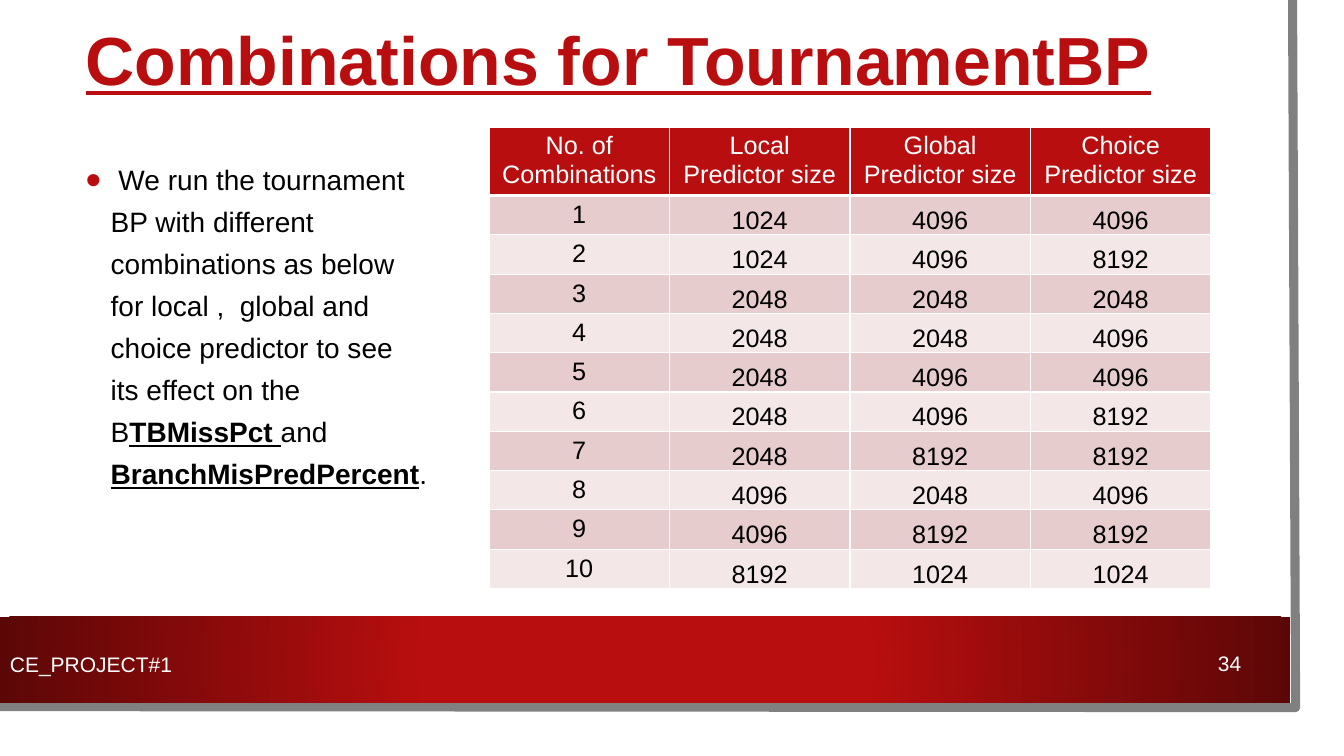
from dataclasses import dataclass

from lxml import etree
from pptx import Presentation
from pptx.dml.color import RGBColor
from pptx.enum.shapes import MSO_SHAPE
from pptx.enum.text import MSO_ANCHOR, MSO_AUTO_SIZE, PP_ALIGN
from pptx.oxml import parse_xml
from pptx.oxml.ns import nsdecls, qn
from pptx.util import Inches, Pt

RECT = MSO_SHAPE.RECTANGLE
MIDDLE, BOTTOM, TOP = MSO_ANCHOR.MIDDLE, MSO_ANCHOR.BOTTOM, MSO_ANCHOR.TOP
LEFT, CENTER = PP_ALIGN.LEFT, PP_ALIGN.CENTER
FIXED = MSO_AUTO_SIZE.NONE

RED = RGBColor(0xB8, 0x0E, 0x0F)
MAROON = RGBColor(0x5C, 0x07, 0x07)
GREY = RGBColor(0x80, 0x80, 0x80)
WHITE = RGBColor(0xFF, 0xFF, 0xFF)
BLACK = RGBColor(0, 0, 0)
ROSE = RGBColor(0xE6, 0xCC, 0xCC)
BLUSH = RGBColor(0xF3, 0xE7, 0xE7)
FONT = "Arial"

HEADS = ["No. of Combinations", "Local Predictor size",
         "Global Predictor size", "Choice Predictor size"]
SIZES = [
    (1024, 4096, 4096),
    (1024, 4096, 8192),
    (2048, 2048, 2048),
    (2048, 2048, 4096),
    (2048, 4096, 4096),
    (2048, 4096, 8192),
    (2048, 8192, 8192),
    (4096, 2048, 4096),
    (4096, 8192, 8192),
    (8192, 1024, 1024),
]


@dataclass
class Box:
    left: float
    top: float
    width: float
    height: float

    def place(self) -> tuple:
        return tuple(Inches(v) for v in (self.left, self.top, self.width, self.height))


@dataclass
class Label:
    text: str
    box: Box
    align: PP_ALIGN


@dataclass
class Span:
    text: str
    bold: bool = False
    line: bool = False


LABELS = [
    Label("34", Box(11.56, 6.38, 1.27, 0.4), CENTER),
    Label("CE_PROJECT#1", Box(0, 6.31, 6.01, 0.55), LEFT),
]
SPANS = [
    Span(" We run the tournament BP with different combinations as below "
         "for local ,  global and choice predictor to see its effect on the B"),
    Span("TBMissPct", True, True),
    Span(" ", False, True),
    Span("and "),
    Span("BranchMisPredPercent", True, True),
    Span("."),
]


def write(frame, text: str, *, size: float, color: RGBColor, bold: bool = False,
          line: bool = False, align: PP_ALIGN = LEFT, anchor: MSO_ANCHOR = MIDDLE):
    frame.word_wrap = True
    frame.vertical_anchor = anchor
    para = frame.paragraphs[0]
    para.alignment = align
    run = para.add_run()
    run.text = text
    font = run.font
    font.name, font.size, font.bold, font.underline = FONT, Pt(size), bold, line
    font.color.rgb = color
    return para


def add_rect(slide, box: Box):
    shape = slide.shapes.add_shape(RECT, *box.place())
    shape.shadow.inherit = False
    shape.line.fill.background()
    return shape


def add_frame(slide) -> None:
    paper = add_rect(slide, Box(0, 0, 13.1, 7.27))
    paper.fill.solid()
    paper.fill.fore_color.rgb = WHITE

    pen = slide.shapes.build_freeform(Inches(12.82), 0)
    pen.add_line_segments([(Inches(12.85), Inches(7.02)),
                           (Inches(-0.03), Inches(7.01))], close=False)
    edge = pen.convert_to_shape()
    edge.shadow.inherit = False
    edge.fill.background()
    edge.line.color.rgb = GREY
    edge.line.width = Pt(6.5)

    band = add_rect(slide, Box(0, 6.12, 12.8, 0.85))
    band.fill.gradient()
    for stop, color, spot in zip(band.fill.gradient_stops, (RED, MAROON), (0.34, 1)):
        stop.color.rgb = color
        stop.position = spot
    grad = band.element.spPr.find(qn("a:gradFill"))
    grad.replace(grad.find(qn("a:lin")), parse_xml(
        f'<a:path {nsdecls("a")} path="circle">'
        '<a:fillToRect l="50000" t="50000" r="50000" b="50000"/></a:path>'))


def add_title(slide) -> None:
    title = slide.shapes.title
    title.element.getparent().append(title.element)
    title.left, title.top, title.width, title.height = Box(0.75, 0, 11.37, 1.26).place()
    title.text_frame.auto_size = FIXED
    para = write(title.text_frame, "Combinations for TournamentBP",
                 size=48.6, color=RED, bold=True, line=True)
    para.line_spacing = 0.9


def add_body(slide) -> None:
    frame = slide.shapes.add_textbox(*Box(0.75, 1.5, 3.6, 3.7).place()).text_frame
    frame.margin_top, frame.margin_bottom = 0, Inches(0.3)
    for span in SPANS:
        para = write(frame, span.text, size=20, color=BLACK,
                     bold=span.bold, line=span.line)
    para.line_spacing = 1.25
    para.space_before = Pt(10)
    props = para._p.get_or_add_pPr()
    props.set("marL", str(Inches(0.25)))
    props.set("indent", str(-Inches(0.25)))
    color = etree.SubElement(props, qn("a:buClr"))
    etree.SubElement(color, qn("a:srgbClr")).set("val", str(RED))
    etree.SubElement(props, qn("a:buSzPct")).set("val", "160000")
    etree.SubElement(props, qn("a:buFont")).set("typeface", FONT)
    etree.SubElement(props, qn("a:buChar")).set("char", "•")


def add_edges(cell, base: float) -> None:
    props = cell._tc.get_or_add_tcPr()
    widths = {"lnL": 1, "lnR": 1, "lnT": 1, "lnB": base}
    for spot, (side, width) in enumerate(widths.items()):
        props.insert(spot, parse_xml(
            f'<a:{side} {nsdecls("a")} w="{Pt(width)}"><a:solidFill>'
            f'<a:srgbClr val="{WHITE}"/></a:solidFill></a:{side}>'))


def add_grid(slide) -> None:
    rows = [HEADS] + [(i, *sizes) for i, sizes in enumerate(SIZES, 1)]
    table = slide.shapes.add_table(len(rows), len(HEADS),
                                   *Box(4.85, 1.26, 7.17, 4.58).place()).table
    table.horz_banding = False
    for col in table.columns:
        col.width = Inches(1.79)
    for r, row in enumerate(rows):
        head = r == 0
        table.rows[r].height = Inches(0.68 if head else 0.39)
        for c, value in enumerate(row):
            cell = table.cell(r, c)
            low = not head and c > 0
            if low:
                cell.margin_left = cell.margin_right = 0
                cell.margin_top = cell.margin_bottom = 0
            write(cell.text_frame, str(value), size=18,
                  color=WHITE if head else BLACK, align=CENTER)
            cell.vertical_anchor = BOTTOM if low else TOP
            cell.fill.solid()
            cell.fill.fore_color.rgb = RED if head else ROSE if r % 2 else BLUSH
            add_edges(cell, 3 if head else 1)


def main() -> None:
    deck = Presentation()
    deck.slide_width, deck.slide_height = Inches(13.33), Inches(7.5)
    slide = deck.slides.add_slide(deck.slide_layouts[5])
    add_frame(slide)
    add_body(slide)
    add_title(slide)
    add_grid(slide)
    for label in LABELS:
        box = slide.shapes.add_textbox(*label.box.place())
        write(box.text_frame, label.text, size=15, color=WHITE, align=label.align)
    deck.save("out.pptx")


if __name__ == "__main__":
    main()
